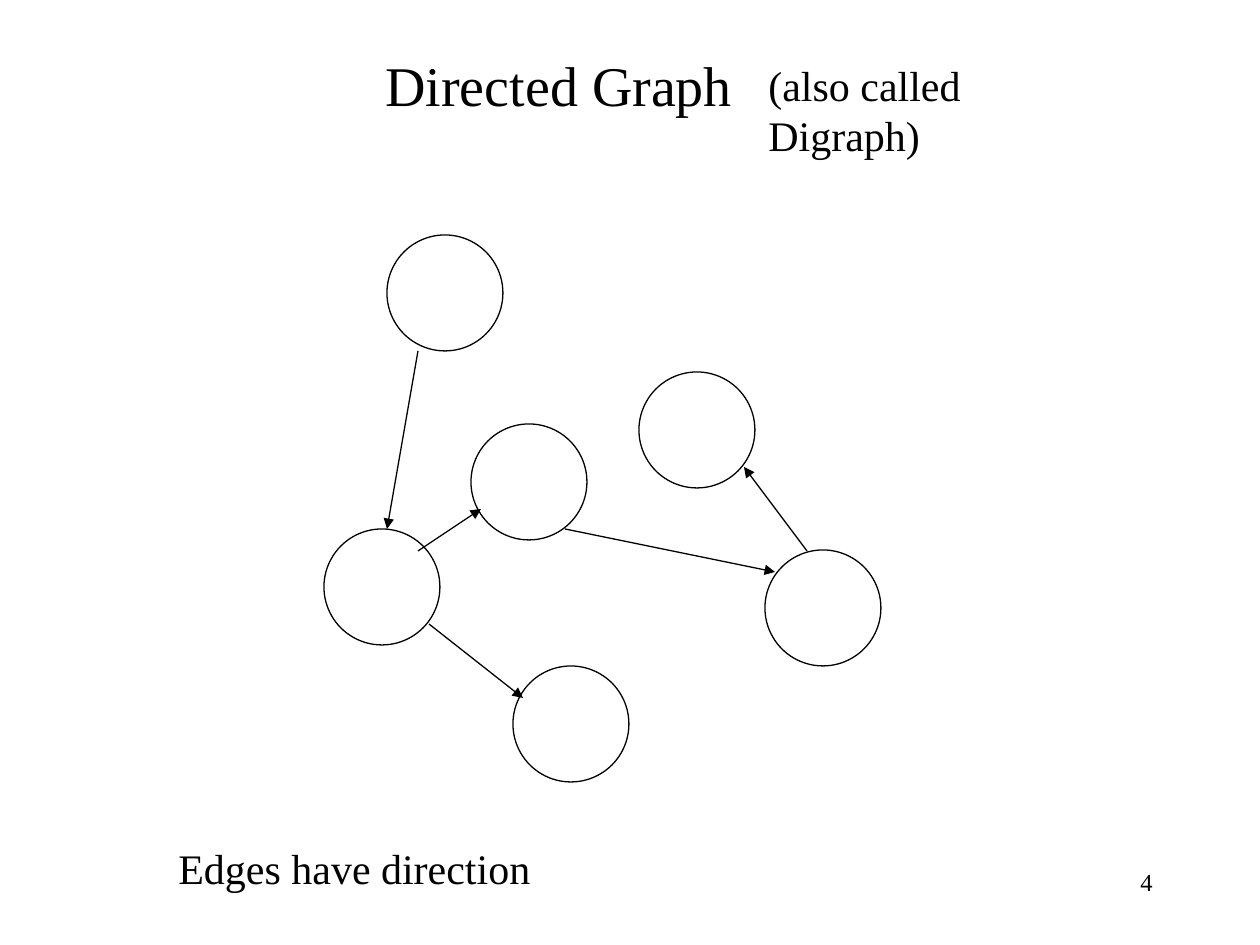
from dataclasses import dataclass

from lxml import etree
from pptx import Presentation
from pptx import util as u
from pptx.dml.color import RGBColor
from pptx.enum import shapes, text
from pptx.oxml.ns import qn

PX = 914400 / 126


@dataclass(frozen=True)
class Theme:
    ink: RGBColor = RGBColor(0, 0, 0)
    font: str = "Times New Roman"
    title: int = 32
    body: int = 24
    number: int = 14
    line: float = 0.75


THEME = Theme()
DIAMETER = 116

# wording, left, top, width, height, size, alignment, wrap
LABELS = [
    ("Directed Graph", 373, 44, 372, 79, THEME.title, text.PP_ALIGN.LEFT, False),
    ("(also called Digraph)", 756, 53, 379, 63, THEME.body, text.PP_ALIGN.LEFT, False),
    ("Edges have direction", 166, 836, 377, 63, THEME.body, text.PP_ALIGN.LEFT, False),
    ("4", 903, 861, 262, 63, THEME.number, text.PP_ALIGN.RIGHT, True),
]

# node centres
NODES = [(529, 482), (571, 724), (697, 430), (445, 293), (823, 608), (382, 587)]

# tail point, arrowhead point
EDGES = [
    ((418, 351), (387, 529)),
    ((418, 551), (481, 509)),
    ((429, 624), (523, 698)),
    ((565, 529), (775, 572)),
    ((807, 551), (744, 467)),
]


def px(*values):
    return [u.Emu(round(v * PX)) for v in values]


def style_line(line):
    line.color.rgb = THEME.ink
    line.width = u.Pt(THEME.line)


def add_node(s, x, y):
    r = DIAMETER / 2
    box = px(x - r, y - r, DIAMETER, DIAMETER)
    sp = s.shapes.add_shape(shapes.MSO_SHAPE.OVAL, *box)
    sp.shadow.inherit = False
    sp.fill.background()
    style_line(sp.line)


def add_edge(s, start, end):
    cx = s.shapes.add_connector(shapes.MSO_CONNECTOR.STRAIGHT, *px(*start, *end))
    style_line(cx.line)
    ln = cx.line._get_or_add_ln()
    etree.SubElement(ln, qn("a:tailEnd"), type="triangle")
    etree.SubElement(cx._element.spPr, qn("a:effectLst"))


def add_label(s, wording, left, top, width, height, size, align, wrap):
    tf = s.shapes.add_textbox(*px(left, top, width, height)).text_frame
    tf.word_wrap = wrap
    if not wrap:
        tf.auto_size = text.MSO_AUTO_SIZE.SHAPE_TO_FIT_TEXT
    tf.text = wording
    p = tf.paragraphs[0]
    p.alignment = align
    font = p.runs[0].font
    font.name, font.size = THEME.font, u.Pt(size)
    font.color.rgb = THEME.ink


def main():
    prs = Presentation()
    prs.slide_width, prs.slide_height = px(1260, 945)
    s = prs.slides.add_slide(prs.slide_layouts[6])
    for node in NODES:
        add_node(s, *node)
    for edge in EDGES:
        add_edge(s, *edge)
    for label in LABELS:
        add_label(s, *label)
    prs.save("out.pptx")


if __name__ == "__main__":
    main()
